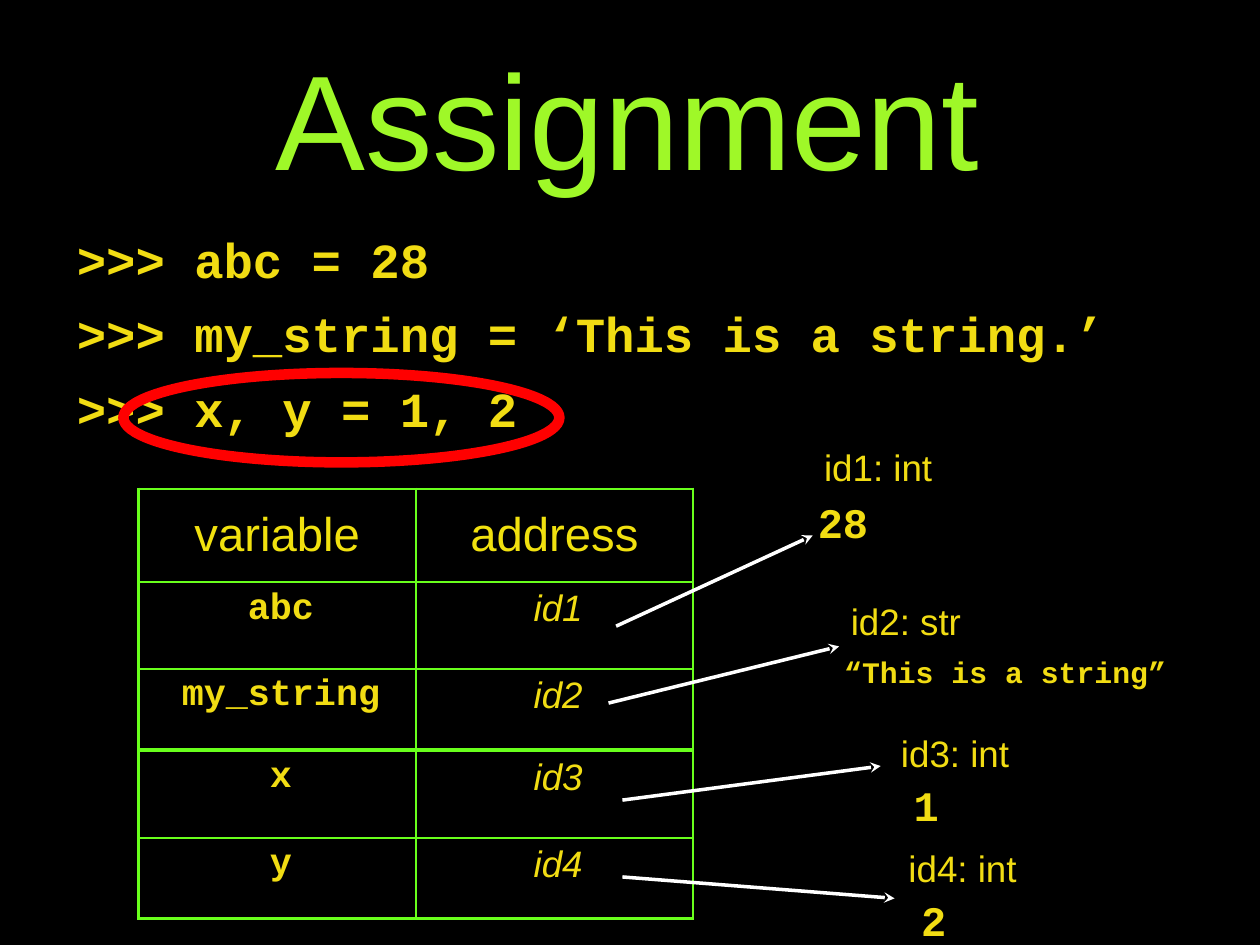
from dataclasses import dataclass

from pptx import Presentation
from pptx import util as u
from pptx.dml import color
from pptx.enum import shapes, text
from pptx.oxml import parse_xml, ns

Inches, Pt = u.Inches, u.Pt


@dataclass(frozen=True)
class Theme:
    background: str = "000000"
    title: str = "9FF828"
    body: str = "F1DC13"
    header: str = "F1E10F"
    grid: str = "69FF1C"
    arrow: str = "FFFFFF"
    highlight: str = "FF0000"
    sans: str = "Arial"
    mono: str = "Courier New"
    title_size: int = 77
    code_size: int = 28
    header_size: int = 27
    label_size: int = 21
    value_size: int = 24
    string_size: int = 17


THEME = Theme()

TITLE = "Assignment"
CODE = [
    ">>> abc = 28",
    ">>> my_string = ‘This is a string.’",
    ">>> x, y = 1, 2",
]
HEADER = ("variable", "address")
TABLES = [
    dict(at=(1.1, 3.88), heights=(0.74, 0.69, 0.64),
         rows=[HEADER, ("abc", "id1"), ("my_string", "id2")]),
    dict(at=(1.1, 5.96), heights=(0.69, 0.64),
         rows=[("x", "id3"), ("y", "id4")]),
]
COLUMN_WIDTH = 2.2
LABEL_WIDTH = 0.98
OBJECTS = [
    dict(label="id1: int", label_at=(6.48, 3.53), value="28", value_at=(6.45, 3.94),
         width=0.49, size=THEME.value_size, tip=(6.45, 4.25), start=(4.89, 4.97)),
    dict(label="id2: str", label_at=(6.7, 4.75), value="“This is a string”",
         value_at=(6.66, 5.19), width=2.74, size=THEME.string_size,
         tip=(6.66, 5.13), start=(4.83, 5.58)),
    dict(label="id3: int", label_at=(7.09, 5.8), value="1", value_at=(7.21, 6.19),
         width=0.39, size=THEME.value_size, tip=(6.99, 6.08), start=(4.94, 6.35)),
    dict(label="id4: int", label_at=(7.15, 6.71), value="2", value_at=(7.27, 7.1),
         width=0.39, size=THEME.value_size, tip=(7.1, 7.13), start=(4.94, 6.96)),
]
HIGHLIGHT = (0.98, 2.96, 3.46, 0.71)


def rgb(value):
    return color.RGBColor.from_string(value)


def inches(values):
    return [Inches(value) for value in values]


def write(frame, lines, size, font=THEME.sans, fill=THEME.body, bold=False,
          italic=False, align=text.PP_ALIGN.LEFT, margin=0, indent=0, before=0):
    for index, line in enumerate(lines):
        paragraph = frame.add_paragraph() if index else frame.paragraphs[0]
        paragraph.alignment = align
        paragraph.space_before = Pt(before)
        properties = paragraph._p.get_or_add_pPr()
        properties.set("marL", str(Inches(margin)))
        properties.set("indent", str(Inches(indent)))
        properties.append(parse_xml(f'<a:buNone {ns.nsdecls("a")}/>'))
        run = paragraph.add_run()
        run.text = line
        run.font.size = Pt(size)
        run.font.name = font
        run.font.bold = bold
        run.font.italic = italic
        run.font.color.rgb = rgb(fill)


def set_insets(owner, left, top, right, bottom):
    owner.margin_left, owner.margin_top, owner.margin_right, owner.margin_bottom = inches(
        (left, top, right, bottom))


def place(placeholder, left, top, width, height, anchor):
    placeholder.left, placeholder.top, placeholder.width, placeholder.height = inches(
        (left, top, width, height))
    frame = placeholder.text_frame
    frame.auto_size = text.MSO_AUTO_SIZE.NONE
    frame.vertical_anchor = anchor
    set_insets(frame, 0.04, 0.04, 0.08, 0.04)
    return frame


def format_cell(cell, content, is_header, is_name):
    set_insets(cell, 0.04, 0.05, 0.04, 0.05)
    for side in ("lnL", "lnR", "lnT", "lnB"):
        cell._tc.get_or_add_tcPr().append(parse_xml(
            f'<a:{side} {ns.nsdecls("a")} w="{Pt(1.47)}"><a:solidFill>'
            f'<a:srgbClr val="{THEME.grid}"/></a:solidFill></a:{side}>'))
    cell.fill.background()
    if is_header:
        cell.vertical_anchor = text.MSO_ANCHOR.MIDDLE
        style = dict(size=THEME.header_size, fill=THEME.header)
    else:
        style = dict(size=THEME.label_size, font=THEME.mono if is_name else THEME.sans,
                     bold=is_name, italic=not is_name, margin=0.06)
    write(cell.text_frame, [content], align=text.PP_ALIGN.CENTER, **style)


def add_variables(slide, at, heights, rows):
    table = slide.shapes.add_table(
        len(rows), len(HEADER),
        *inches((*at, COLUMN_WIDTH * len(HEADER), sum(heights)))).table
    table.first_row = table.horz_banding = False
    for column in table.columns:
        column.width = Inches(COLUMN_WIDTH)
    for row, height, contents in zip(table.rows, heights, rows):
        row.height = Inches(height)
        for index, (cell, content) in enumerate(zip(row.cells, contents)):
            format_cell(cell, content, contents is HEADER, index == 0)


def add_label(group, content, at, width, height, wrap, **style):
    frame = group.shapes.add_textbox(*inches((*at, width, height))).text_frame
    frame.word_wrap = wrap
    frame.auto_size = (text.MSO_AUTO_SIZE.NONE if wrap
                       else text.MSO_AUTO_SIZE.SHAPE_TO_FIT_TEXT)
    set_insets(frame, 0, 0, 0.04, 0)
    write(frame, [content], margin=0.04, **style)


def add_object(slide, label, label_at, value, value_at, width, size, tip, start):
    group = slide.shapes.add_group_shape()
    arrow = group.shapes.add_connector(
        shapes.MSO_CONNECTOR.STRAIGHT, *inches((*tip, *start)))
    arrow.line.color.rgb = rgb(THEME.arrow)
    arrow.line.width = Pt(2)
    arrow.line._get_or_add_ln().append(
        parse_xml(f'<a:headEnd {ns.nsdecls("a")} type="stealth"/>'))
    arrow._element.spPr.append(parse_xml(f'<a:effectLst {ns.nsdecls("a")}/>'))
    add_label(group, label, label_at, LABEL_WIDTH, 0.35, False,
              size=THEME.label_size, align=text.PP_ALIGN.CENTER)
    add_label(group, value, value_at, width, 0.36, True,
              size=size, font=THEME.mono, bold=True)


deck = Presentation()
deck.slide_width, deck.slide_height = inches((10, 7.5))
slide = deck.slides.add_slide(deck.slide_layouts[1])
slide.background.fill.solid()
slide.background.fill.fore_color.rgb = rgb(THEME.background)

title = place(slide.shapes.title, 0.5, 0.07, 9, 1.71, text.MSO_ANCHOR.MIDDLE)
write(title, [TITLE], THEME.title_size, fill=THEME.title,
      align=text.PP_ALIGN.CENTER, margin=0.04, indent=-0.04)
code = place(slide.placeholders[1], 0.52, 1.78, 9, 1.91, text.MSO_ANCHOR.TOP)
write(code, CODE, THEME.code_size, font=THEME.mono, bold=True, margin=0.05, before=9)

for variables in TABLES:
    add_variables(slide, **variables)
for item in OBJECTS:
    add_object(slide, **item)

highlight = slide.shapes.add_shape(shapes.MSO_SHAPE.OVAL, *inches(HIGHLIGHT))
highlight.shadow.inherit = False
highlight.fill.background()
highlight.line.color.rgb = rgb(THEME.highlight)
highlight.line.width = Pt(6)

deck.save("out.pptx")
